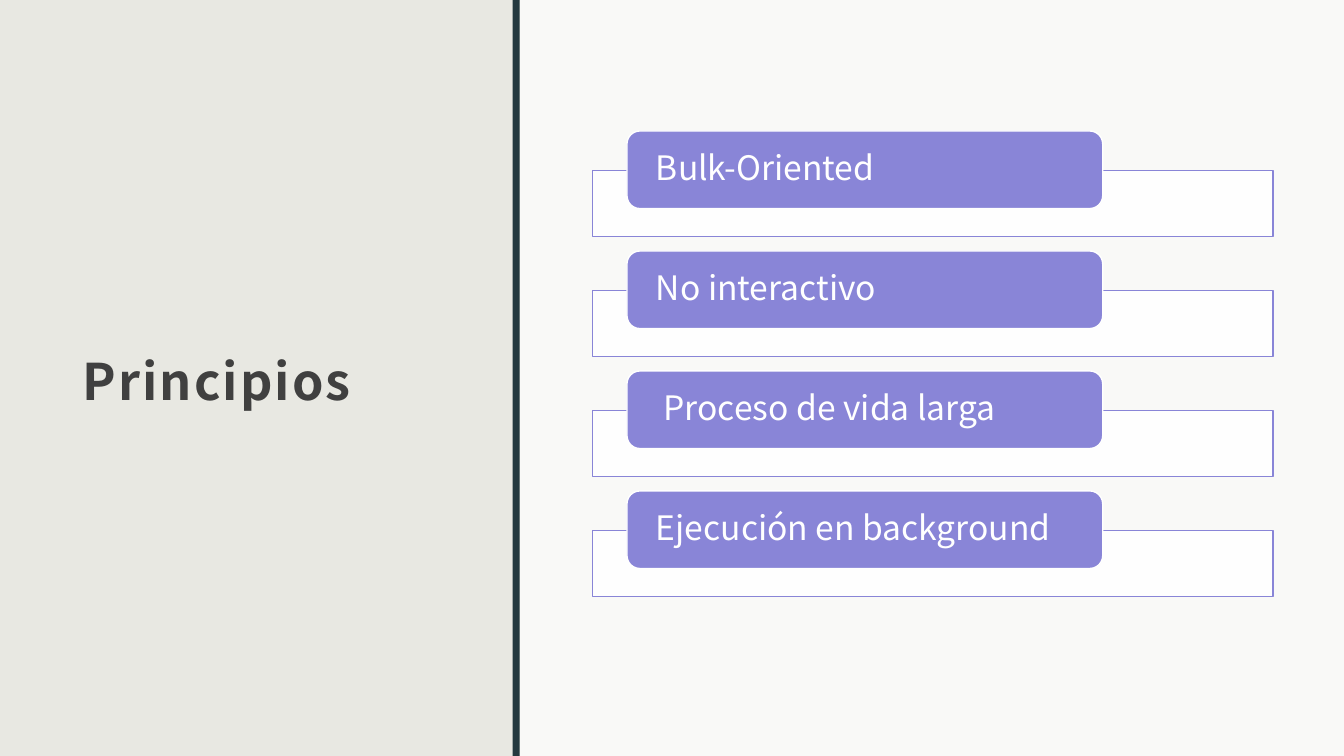
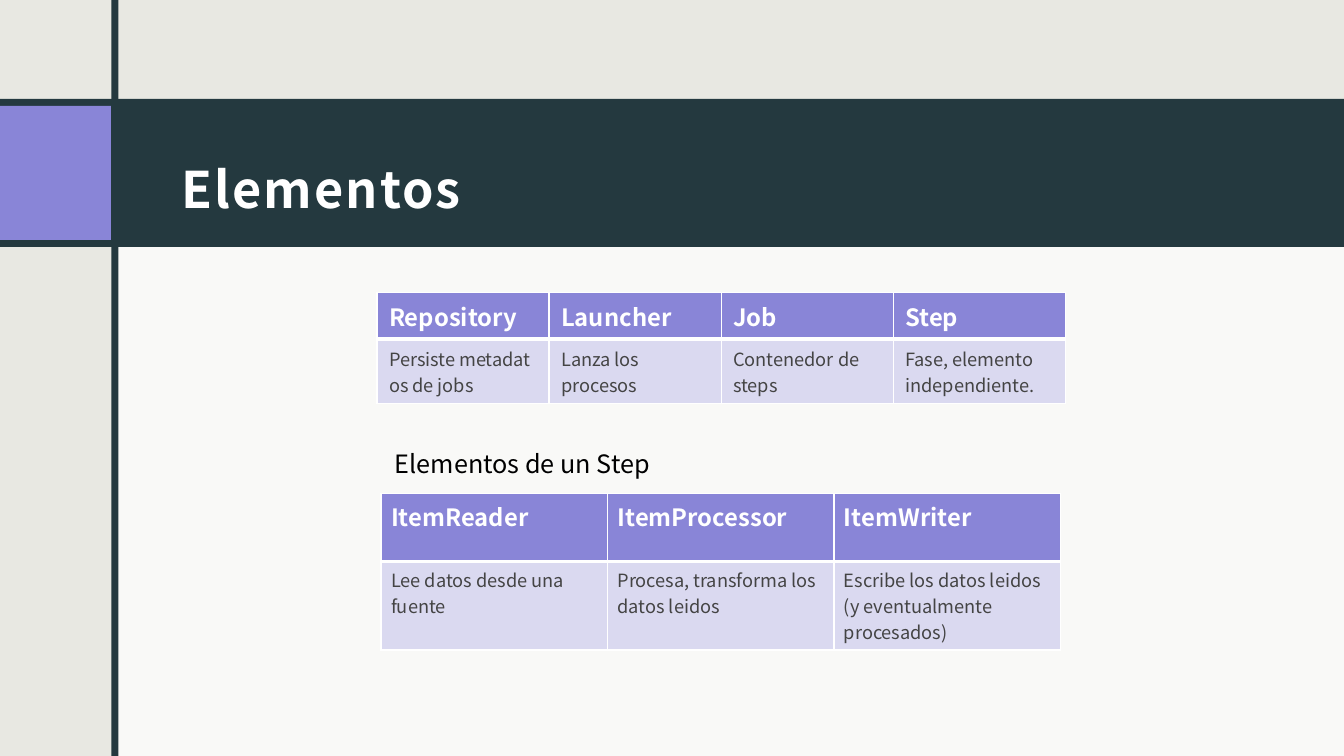
import lxml.etree
import pptx
import pptx.dml.color
import pptx.enum.shapes
import pptx.enum.text
import pptx.oxml.ns
import pptx.util

FONT = "Noto Sans CJK JP"
SAND, DARK, VIOLET, LILAC = "E8E8E2", "24393F", "8985D7", "DAD9F0"
WHITE, BLACK, TITLE_GREY, BODY_GREY = "FFFFFF", "000000", "404040", "444444"
RECT = pptx.enum.shapes.MSO_SHAPE.RECTANGLE
ROUND = pptx.enum.shapes.MSO_SHAPE.ROUNDED_RECTANGLE
MIDDLE = pptx.enum.text.MSO_ANCHOR.MIDDLE
DIVIDER_W = 0.53


def rgb(hex_code):
    return pptx.dml.color.RGBColor.from_string(hex_code)


def add_xml(parent, tag, **attrs):
    return lxml.etree.SubElement(parent, pptx.oxml.ns.qn(tag), **attrs)


class Deck:
    """Style and current slide; boxes are percentages of the slide's size."""

    def __init__(self):
        self.prs = pptx.Presentation()
        self.prs.slide_width = pptx.util.Inches(13.333)
        self.prs.slide_height = pptx.util.Inches(7.5)
        self.s = None

    def new_slide(self):
        self.s = self.prs.slides.add_slide(self.prs.slide_layouts[5])
        fill = self.s.background.fill
        fill.solid()
        fill.fore_color.rgb = rgb(SAND)

    def across(self, share):
        return round(self.prs.slide_width * share / 100)

    def down(self, share):
        return round(self.prs.slide_height * share / 100)

    def box(self, x, y, w, h):
        return self.across(x), self.down(y), self.across(w), self.down(h)

    def add_text(self, p, text, size, color, bold=False):
        r = p.add_run()
        r.text = text
        r.font.name = FONT
        r.font.size = pptx.util.Pt(size)
        r.font.bold = bold
        r.font.color.rgb = rgb(color)
        return r

    def margins(self, holder, left, top, right, bottom):
        holder.margin_left = pptx.util.Inches(left)
        holder.margin_top = pptx.util.Inches(top)
        holder.margin_right = pptx.util.Inches(right)
        holder.margin_bottom = pptx.util.Inches(bottom)

    def shape(self, box, fill, kind=RECT, line=None, opacity=100):
        sp = self.s.shapes.add_shape(kind, *self.box(*box))
        sp.shadow.inherit = False
        sp.fill.solid()
        sp.fill.fore_color.rgb = rgb(fill)
        if opacity < 100:
            color = sp.element.spPr.find(".//" + pptx.oxml.ns.qn("a:srgbClr"))
            add_xml(color, "a:alpha", val=str(opacity * 1000))
        if line:
            sp.line.color.rgb = rgb(line)
            sp.line.width = pptx.util.Pt(1)
        else:
            sp.line.fill.background()
        return sp

    def panel(self, x, y):
        self.shape((x, y, 100 - x, 100 - y), WHITE, opacity=75)

    def divider(self, x):
        self.shape((x, 0, DIVIDER_W, 100), DARK)

    def title(self, box, text, color):
        sp = self.s.shapes.title
        sp.left, sp.top, sp.width, sp.height = self.box(*box)
        sp.element.getparent().append(sp.element)  # in front of the bands
        tf = sp.text_frame
        tf.auto_size = pptx.enum.text.MSO_AUTO_SIZE.NONE
        tf.word_wrap = True
        tf.vertical_anchor = MIDDLE
        self.margins(tf, 0.12, 0.12, 0.12, 0.1)
        p = tf.paragraphs[0]
        p.alignment = pptx.enum.text.PP_ALIGN.LEFT
        p.line_spacing = 1.5
        r = self.add_text(p, text, 36, color, bold=True)
        r._r.get_or_add_rPr().set("spc", "150")

    def pill(self, box, text):
        sp = self.shape(box, VIOLET, ROUND, line=WHITE)
        tf = sp.text_frame
        tf.word_wrap = True
        tf.vertical_anchor = MIDDLE
        self.margins(tf, 0.25, 0, 0.18, 0)
        p = tf.paragraphs[0]
        p.alignment = pptx.enum.text.PP_ALIGN.LEFT
        p.line_spacing = 0.9
        self.add_text(p, text, 24, WHITE)

    def label(self, box, text):
        sp = self.s.shapes.add_textbox(*self.box(*box))
        sp.text_frame.word_wrap = True
        self.add_text(sp.text_frame.paragraphs[0], text, 18, BLACK)

    def borders(self, cell, bottom):
        tc_pr = cell._tc.get_or_add_tcPr()
        for side, width in (("L", 1), ("R", 1), ("T", 1), ("B", bottom)):
            ln = add_xml(tc_pr, "a:ln" + side, w=str(int(pptx.util.Pt(width))))
            add_xml(add_xml(ln, "a:solidFill"), "a:srgbClr", val=WHITE)

    def table(self, x, y, w, heights, rows, inset):
        frame = self.s.shapes.add_table(
            len(rows), len(rows[0]), *self.box(x, y, w, sum(heights)))
        table = frame.table
        table.horz_banding = False
        for col in table.columns:
            col.width = self.across(w / len(rows[0]))
        for i, texts in enumerate(rows):
            table.rows[i].height = self.down(heights[i])
            header = i == 0
            for j, text in enumerate(texts):
                cell = table.cell(i, j)
                self.margins(cell, *inset)
                self.borders(cell, bottom=3 if header else 1)
                cell.fill.solid()
                cell.fill.fore_color.rgb = rgb(VIOLET if header else LILAC)
                self.add_text(cell.text_frame.paragraphs[0], text,
                              17 if header else 13,
                              WHITE if header else BODY_GREY, bold=header)


deck = Deck()

# Slide 1: principles
deck.new_slide()
deck.panel(38.7, 0)
deck.divider(38.14)
deck.title((5.25, 10.27, 27.98, 75.73), "Principios", TITLE_GREY)
principles = ["Bulk-Oriented", "No interactivo", " Proceso de vida larga",
              "Ejecución en background"]
for i, principle in enumerate(principles):
    offset = i * 15.87
    deck.shape((44.1, 22.53 + offset, 50.63, 8.8), WHITE,
               line=VIOLET, opacity=90)
    deck.pill((46.65, 17.33 + offset, 35.4, 10.27), principle)

# Slide 2: elements
deck.new_slide()
deck.panel(8.55, 31.07)
deck.shape((0, 13.07, 100, 19.6), DARK)
deck.title((12.6, 15.2, 82.13, 15.07), "Elementos", WHITE)
deck.shape((0, 14, 8.25, 17.73), VIOLET)
deck.divider(8.29)

# Tables of batch parts and step parts
deck.table(28.05, 38.67, 51.23, (6, 8), [
    ["Repository", "Launcher", "Job", "Step"],
    ["Persiste\u00a0metadatos de jobs", "Lanza los procesos",
     "Contenedor de steps", "Fase, elemento independiente."],
], inset=(0.12, 0.06, 0.12, 0.06))
deck.table(28.35, 65.33, 50.55, (8.93, 11.6), [
    ["ItemReader", "ItemProcessor", "ItemWriter"],
    ["Lee datos desde una fuente", "Procesa, transforma los datos leidos",
     "Escribe los datos leidos (y eventualmente procesados)"],
], inset=(0.1, 0.05, 0.1, 0.05))
deck.label((28.65, 58.67, 45.23, 5.33), "Elementos de un Step")

deck.prs.save("out.pptx")
